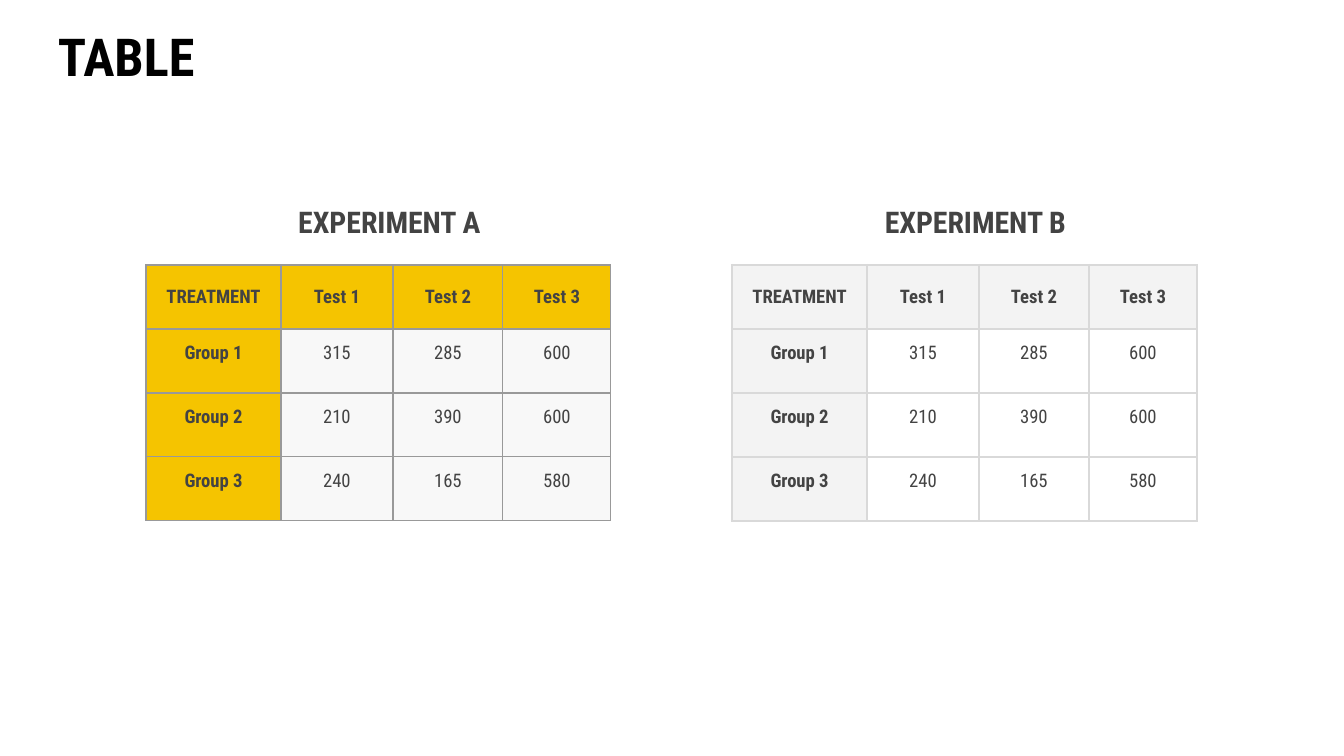
from lxml import etree
from pptx import Presentation
from pptx.dml.color import RGBColor
from pptx.enum.text import MSO_ANCHOR, PP_ALIGN
from pptx.oxml.ns import qn
from pptx.util import Pt

LEFT, CENTER = PP_ALIGN.LEFT, PP_ALIGN.CENTER
TOP, MIDDLE = MSO_ANCHOR.TOP, MSO_ANCHOR.MIDDLE
PX = 914400 / 134.4
FONT, GREY = "Roboto Condensed", "434343"

TITLE = "TABLE"
ROWS = [
    ("TREATMENT", "Test 1", "Test 2", "Test 3"),
    ("Group 1", "315", "285", "600"),
    ("Group 2", "210", "390", "600"),
    ("Group 3", "240", "165", "580"),
]
EXPERIMENTS = [
    {"name": "EXPERIMENT B", "left": 732, "head": "F3F3F3", "body": None,
     "border": "D9D9D9", "line": 1.5},
    {"name": "EXPERIMENT A", "left": 146, "head": "F5C400", "body": "F3F3F3",
     "border": "999999", "line": 0.75},
]
BODY_ALPHA = 53
COLS, ROW_H, TABLE_TOP = (135, 112, 110, 108), 64, 265
HEAD_W, HEAD_H, HEAD_TOP = 331, 56, 191


def px(n):
    return round(n * PX)


def rgb(value):
    return RGBColor.from_string(value)


def write(tf, text, size, color=GREY, bold=True, align=CENTER):
    p = tf.paragraphs[0]
    p.alignment = align
    r = p.add_run()
    r.text = text
    for key, value in {"name": FONT, "size": Pt(size), "bold": bold}.items():
        setattr(r.font, key, value)
    r.font.color.rgb = rgb(color)
    return p


def set_margins(obj, x, y):
    for side, value in {"left": x, "right": x, "top": y, "bottom": y}.items():
        setattr(obj, f"margin_{side}", px(value))


def set_borders(cell, color, width):
    tcPr = cell._tc.get_or_add_tcPr()
    for side in ("lnL", "lnR", "lnT", "lnB"):
        ln = etree.SubElement(tcPr, qn(f"a:{side}"), w=str(Pt(width)))
        fill = etree.SubElement(ln, qn("a:solidFill"))
        etree.SubElement(fill, qn("a:srgbClr"), val=color)


def set_fill(cell, color, alpha=100):
    if color is None:
        cell.fill.background()
        return
    cell.fill.solid()
    cell.fill.fore_color.rgb = rgb(color)
    if alpha < 100:
        clr = cell._tc.tcPr.find(qn("a:solidFill")).find(qn("a:srgbClr"))
        etree.SubElement(clr, qn("a:alpha"), val=str(alpha * 1000))


def add_experiment(s, exp):
    width = sum(COLS)
    table = s.shapes.add_table(
        len(ROWS), len(COLS), px(exp["left"]), px(TABLE_TOP),
        px(width), px(ROW_H * len(ROWS))).table
    table.first_row = table.horz_banding = False
    for col, w in zip(table.columns, COLS):
        col.width = px(w)
    for i, row in enumerate(ROWS):
        table.rows[i].height = px(ROW_H)
        for j, text in enumerate(row):
            cell = table.cell(i, j)
            is_head = i == 0 or j == 0
            set_margins(cell, 13, 13)
            cell.vertical_anchor = MIDDLE if i == 0 else TOP
            write(cell.text_frame, text, 10, bold=is_head)
            set_borders(cell, exp["border"], exp["line"])
            if is_head:
                set_fill(cell, exp["head"])
            else:
                set_fill(cell, exp["body"], BODY_ALPHA)

    left = exp["left"] + (width - HEAD_W) / 2 + 11
    tf = s.shapes.add_textbox(
        px(left), px(HEAD_TOP), px(HEAD_W), px(HEAD_H)).text_frame
    tf.word_wrap = True
    set_margins(tf, 13, 13)
    write(tf, exp["name"], 16)


def main():
    prs = Presentation()
    prs.slide_width, prs.slide_height = px(1344), px(756)
    s = prs.slides.add_slide(prs.slide_layouts[5])
    title = s.shapes.title
    box = {"left": 48, "top": 13, "width": 1247, "height": 93}
    for key, value in box.items():
        setattr(title, key, px(value))
    tf = title.text_frame
    tf.vertical_anchor = MIDDLE
    set_margins(tf, 10, 5)
    write(tf, TITLE, 28, "000000", align=LEFT).line_spacing = 0.9
    for exp in EXPERIMENTS:
        add_experiment(s, exp)
    prs.save("out.pptx")


if __name__ == "__main__":
    main()
